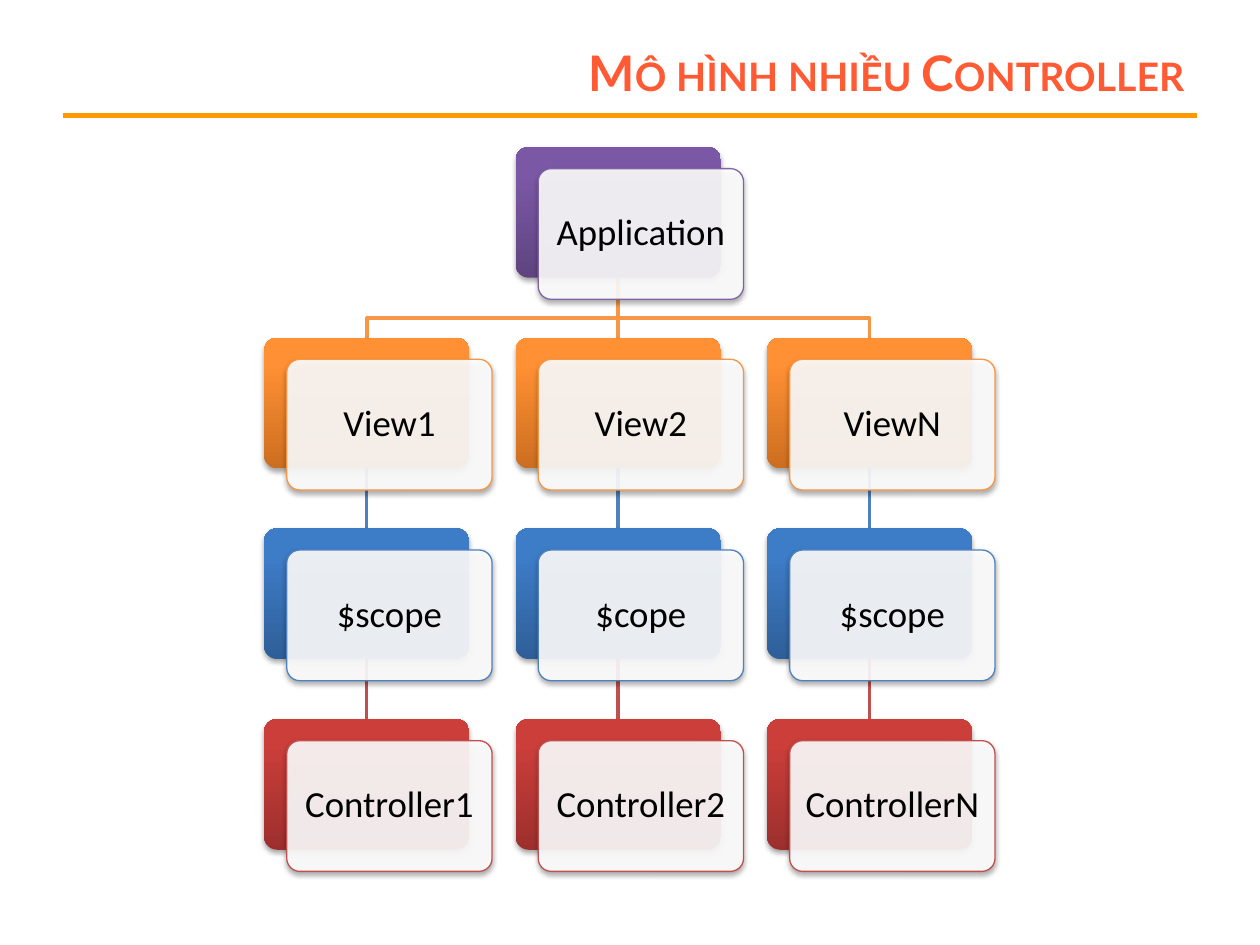
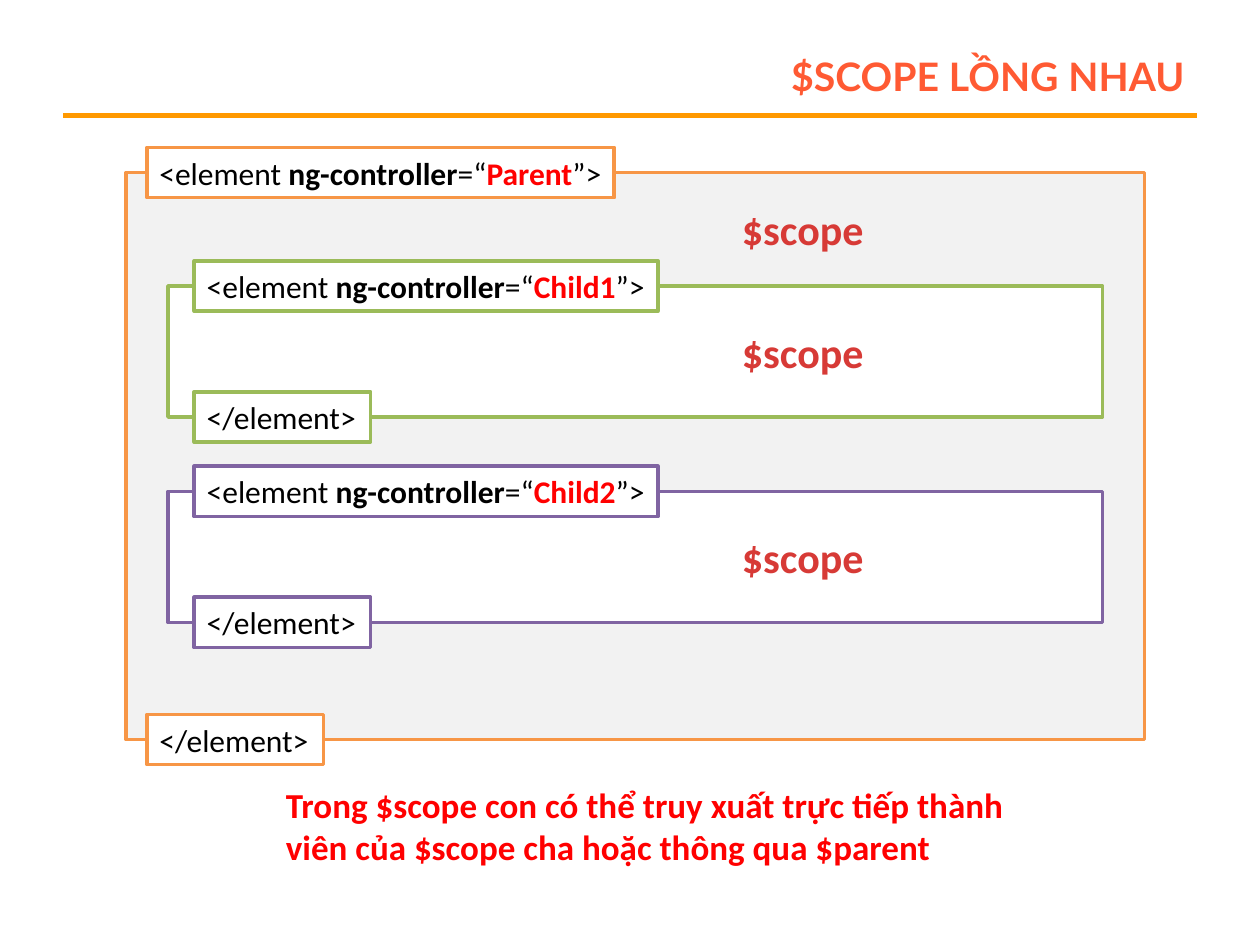
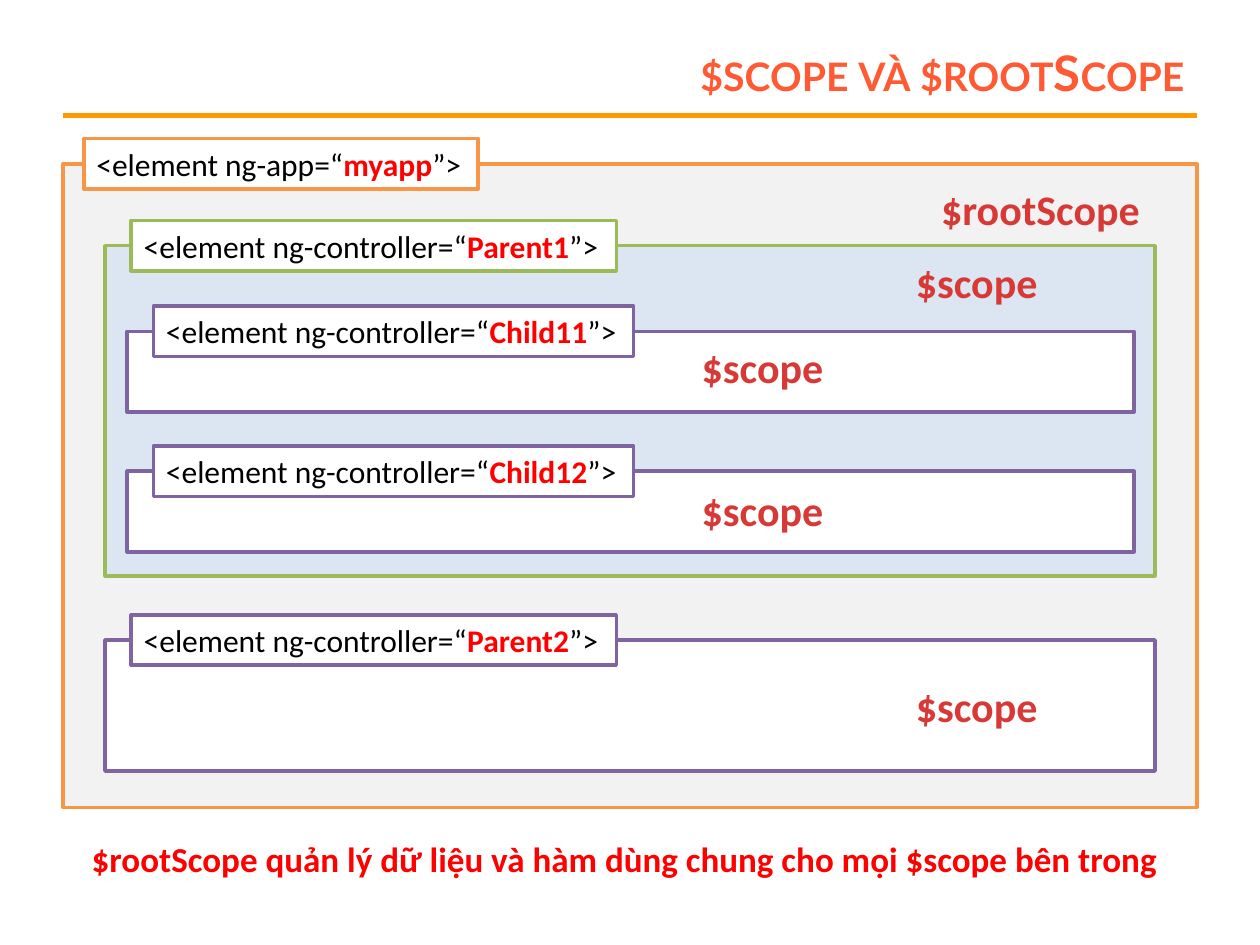
from dataclasses import dataclass

from lxml import etree
from pptx import Presentation
from pptx.dml.color import RGBColor
from pptx.enum.shapes import MSO_CONNECTOR, MSO_SHAPE
from pptx.enum.text import MSO_ANCHOR, MSO_AUTO_SIZE, PP_ALIGN
from pptx.oxml.ns import qn
from pptx.shapes.autoshape import Shape
from pptx.shapes.connector import Connector
from pptx.slide import Slide
from pptx.util import Emu, Inches, Pt

RECT, ROUND = MSO_SHAPE.RECTANGLE, MSO_SHAPE.ROUNDED_RECTANGLE
STRAIGHT = MSO_CONNECTOR.STRAIGHT
LEFT, CENTER, RIGHT = PP_ALIGN.LEFT, PP_ALIGN.CENTER, PP_ALIGN.RIGHT
TOP, MIDDLE = MSO_ANCHOR.TOP, MSO_ANCHOR.MIDDLE
GROW = MSO_AUTO_SIZE.SHAPE_TO_FIT_TEXT

WIDTH, HEIGHT = Inches(10), Inches(7.5)
COLS = 120
CELL = WIDTH // COLS

HUES = {
    "title": "FF5A33", "rule": "FF9900", "ink": "000000", "paper": "FFFFFF",
    "red": "FF0000", "scope": "D73A36", "mist": "F2F2F2", "sky": "DCE6F2",
    "orange": "F79646", "green": "9BBB59", "purple": "8064A2",
    "blue": "4F81BD", "brick": "C0504D",
}
SHADES = {
    "purple": ("5F4480", "7B58A6"), "orange": ("CC6E20", "FF9034"),
    "blue": ("2F5F99", "3D7CC7"), "brick": ("9C2F2D", "CB3E3A"),
}
NOTES = {"$scope": 14.16, "$rootScope": 21.48}
TAG_H, END_W, NOTE_H = 4.8, 16.8, 6


@dataclass
class Tier:
    hue: str
    names: dict[int, str]


@dataclass
class Spot:
    x: float
    y: float
    w: float
    h: float


@dataclass
class Frame:
    spot: Spot
    hue: str
    fill: str
    inset: float
    tag: float
    attr: str
    value: str
    note: str
    note_x: float
    note_y: float
    closed: bool = False


TIERS = [
    Tier("purple", {1: "Application"}),
    Tier("orange", {0: "View1", 1: "View2", 2: "ViewN"}),
    Tier("blue", {0: "$scope", 1: "$cope", 2: "$scope"}),
    Tier("brick", {0: "Controller1", 1: "Controller2", 2: "ControllerN"}),
]
CARD = Spot(25.15, 14, 19.56, 12.45)
STEP_X, STEP_Y = 23.95, 18.16
SHIFT_X, SHIFT_Y = 2.16, 2.06
BEND = 3.84

NESTED = [
    Frame(Spot(12, 16.44, 97, 54), "orange", "mist", 2, 44.5,
          "ng-controller", "Parent", "$scope", 69.48, 18.84, True),
    Frame(Spot(16, 27.24, 89, 12.48), "green", "paper", 2.5, 44.16,
          "ng-controller", "Child1", "$scope", 69.48, 30.48, True),
    Frame(Spot(16, 46.8, 89, 12.48), "purple", "paper", 2.5, 44.16,
          "ng-controller", "Child2", "$scope", 69.48, 50.04, True),
]
ROOTED = [
    Frame(Spot(6, 15.6, 108, 61.32), "orange", "mist", 2, 37.56,
          "ng-app", "myapp", "$rootScope", 88.44, 16.92),
    Frame(Spot(10, 23.4, 100, 31.44), "green", "sky", 2.5, 46.2,
          "ng-controller", "Parent1", "$scope", 86.04, 23.88),
    Frame(Spot(10, 60.96, 100, 12.48), "purple", "paper", 2.5, 46.2,
          "ng-controller", "Parent2", "$scope", 86.04, 64.2),
    Frame(Spot(12.12, 31.56, 95.88, 7.68), "purple", "paper", 2.5, 45.72,
          "ng-controller", "Child11", "$scope", 65.64, 31.92),
    Frame(Spot(12.12, 44.88, 95.88, 7.68), "purple", "paper", 2.5, 45.72,
          "ng-controller", "Child12", "$scope", 65.64, 45.6),
]


def rgb(name: str) -> RGBColor:
    return RGBColor.from_string(HUES[name])


def cells(*counts: float) -> list[Emu]:
    return [Emu(round(count * CELL)) for count in counts]


def area(spot: Spot) -> list[Emu]:
    return cells(spot.x, spot.y, spot.w, spot.h)


def style(run, size: float, hue: str, bold: bool = False, face: str = "Calibri") -> None:
    run.font.name = face
    run.font.size = Pt(size)
    run.font.bold = bold
    run.font.color.rgb = rgb(hue)


def wire(slide: Slide, x1: float, y1: float, x2: float, y2: float,
         hue: str, width: float) -> Connector:
    line = slide.shapes.add_connector(STRAIGHT, *cells(x1, y1, x2, y2))
    line.line.color.rgb = rgb(hue)
    line.line.width = Pt(width)
    etree.SubElement(line._element.spPr, qn("a:effectLst"))
    return line


def start(deck, title: str) -> Slide:
    slide = deck.slides.add_slide(deck.slide_layouts[6])
    wire(slide, 6, 11, 114, 11, "rule", 3)
    box = slide.shapes.add_textbox(*cells(27, 3.6, 87, 6.4))
    text = box.text_frame
    text.word_wrap = True
    text.vertical_anchor = MIDDLE
    text.text = title
    text.paragraphs[0].alignment = RIGHT
    run = text.paragraphs[0].runs[0]
    style(run, 28, "title", True, "Lato")
    run._r.get_or_add_rPr().set("cap", "small")
    return slide


def note(slide: Slide, spot: Spot, words: str, size: float, hue: str) -> None:
    text = slide.shapes.add_textbox(*area(spot)).text_frame
    text.word_wrap = False
    text.auto_size = GROW
    text.text = words
    for para in text.paragraphs:
        style(para.runs[0], size, hue, True)


def block(slide: Slide, spot: Spot, fill: str, hue: str) -> Shape:
    shape = slide.shapes.add_shape(RECT, *area(spot))
    shape.shadow.inherit = False
    shape.fill.solid()
    shape.fill.fore_color.rgb = rgb(fill)
    shape.line.color.rgb = rgb(hue)
    shape.line.width = Pt(2)
    return shape


def label(slide: Slide, spot: Spot, hue: str, parts: list[tuple[str, str, bool]]) -> None:
    text = block(slide, spot, "paper", hue).text_frame
    text.word_wrap = False
    text.auto_size = GROW
    text.vertical_anchor = TOP
    para = text.paragraphs[0]
    para.alignment = LEFT
    for words, ink, bold in parts:
        run = para.add_run()
        run.text = words
        style(run, 18, ink, bold)


def nest(slide: Slide, frame: Frame) -> None:
    spot = frame.spot
    block(slide, spot, frame.fill, frame.hue)
    x, y = spot.x + frame.inset, spot.y - TAG_H / 2
    if frame.closed:
        lead = [("<element ", "ink", False), (frame.attr, "ink", True), ("=“", "ink", False)]
        label(slide, Spot(x, y + spot.h, END_W, TAG_H), frame.hue,
              [("</element>", "ink", False)])
    else:
        lead = [(f"<element {frame.attr}=“", "ink", False)]
    label(slide, Spot(x, y, frame.tag, TAG_H), frame.hue,
          lead + [(frame.value, "red", True), ("”>", "ink", False)])
    note(slide, Spot(frame.note_x, frame.note_y, NOTES[frame.note], NOTE_H),
         frame.note, 24, "scope")


def panel(slide: Slide, spot: Spot) -> Shape:
    shape = slide.shapes.add_shape(ROUND, *area(spot))
    shape.adjustments[0] = 0.1
    shape.shadow.inherit = False
    glow = shape._element.spPr.find(qn("a:effectLst"))
    cast = etree.SubElement(glow, qn("a:outerShdw"), blurRad="40000",
                            dist="23000", dir="5400000", rotWithShape="0")
    tint = etree.SubElement(cast, qn("a:srgbClr"), val=HUES["ink"])
    etree.SubElement(tint, qn("a:alpha"), val="35000")
    return shape


def card(slide: Slide, spot: Spot, hue: str, name: str) -> Shape:
    back = panel(slide, spot)
    back.line.fill.background()
    back.fill.gradient()
    back.fill.gradient_angle = 90
    for stop, shade, place in zip(back.fill.gradient_stops, SHADES[hue], (0, 0.8)):
        stop.color.rgb = RGBColor.from_string(shade)
        stop.position = place

    front = panel(slide, Spot(spot.x + SHIFT_X, spot.y + SHIFT_Y, spot.w, spot.h))
    front.fill.solid()
    front.fill.fore_color.rgb = rgb("paper")
    paint = front._element.spPr.find(qn("a:solidFill"))
    etree.SubElement(paint[0], qn("a:alpha"), val="90000")
    front.line.color.rgb = rgb(hue)
    front.line.width = Pt(0.75)
    text = front.text_frame
    text.word_wrap = True
    text.vertical_anchor = MIDDLE
    text.margin_left = text.margin_right = Inches(0.09)
    text.margin_top = text.margin_bottom = Inches(0.09)
    text.text = name
    para = text.paragraphs[0]
    para.alignment = CENTER
    para.line_spacing = 0.9
    style(para.runs[0], 21, "ink")
    return back


def place(col: int, row: int) -> Spot:
    return Spot(CARD.x + col * STEP_X, CARD.y + row * STEP_Y, CARD.w, CARD.h)


def branch(slide: Slide, x1: float, y1: float, x2: float, y2: float, hue: str) -> None:
    first, *rest = [tuple(cells(*dot)) for dot in
                    ((x1, y1), (x1, y1 + BEND), (x2, y1 + BEND), (x2, y2))]
    pen = slide.shapes.build_freeform(*first)
    pen.add_line_segments(rest, close=False)
    shape = pen.convert_to_shape()
    shape.shadow.inherit = False
    shape.fill.background()
    shape.line.color.rgb = rgb(hue)
    shape.line.width = Pt(2)


def tree(slide: Slide) -> None:
    wires = {}
    for row, tier in enumerate(TIERS[1:], 1):
        for col in tier.names:
            above = place(col if col in TIERS[row - 1].names else 1, row - 1)
            below = place(col, row)
            ends = (above.x + above.w / 2, above.y + above.h,
                    below.x + below.w / 2, below.y)
            if above.x == below.x:
                wires[col, row] = wire(slide, *ends, tier.hue, 2)
            else:
                branch(slide, *ends, tier.hue)
    cards = {
        (col, row): card(slide, place(col, row), tier.hue, name)
        for row, tier in enumerate(TIERS)
        for col, name in tier.names.items()
    }
    for (col, row), line in wires.items():
        line.begin_connect(cards[col, row - 1], 2)
        line.end_connect(cards[col, row], 0)


def main() -> None:
    deck = Presentation()
    deck.slide_width, deck.slide_height = WIDTH, HEIGHT

    tree(start(deck, "Mô hình nhiều Controller"))

    slide = start(deck, "$scope lồng nhau")
    for frame in NESTED:
        nest(slide, frame)
    note(slide, Spot(26.04, 74.04, 72.12, 9.24),
         "Trong $scope con có thể truy xuất trực tiếp thành\n"
         "viên của $scope cha hoặc thông qua $parent", 20, "red")

    slide = start(deck, "$scope và $rootScope")
    for frame in ROOTED:
        nest(slide, frame)
    note(slide, Spot(7.56, 79.2, 104.76, 5.28),
         "$rootScope quản lý dữ liệu và hàm dùng chung cho mọi $scope bên trong", 20, "red")

    deck.save("out.pptx")


if __name__ == "__main__":
    main()
